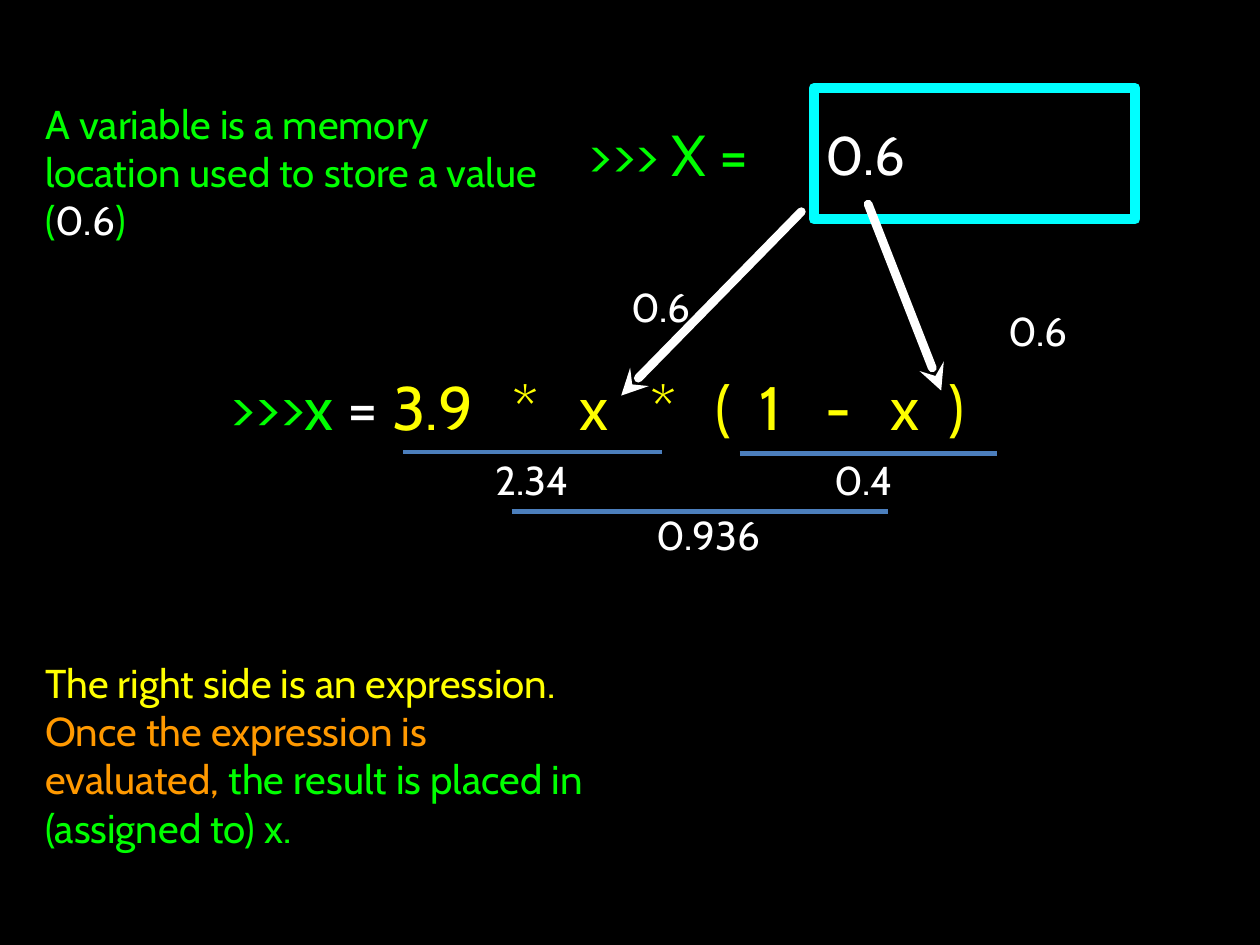
from typing import NamedTuple

from lxml.etree import SubElement
from pptx import Presentation
from pptx.dml.color import RGBColor
from pptx.enum.shapes import MSO_CONNECTOR, MSO_SHAPE
from pptx.enum.text import MSO_ANCHOR, PP_ALIGN
from pptx.oxml.ns import qn
from pptx.util import Inches, Pt

BLACK = RGBColor(0x00, 0x00, 0x00)
WHITE = RGBColor(0xFF, 0xFF, 0xFF)
GREEN = RGBColor(0x00, 0xFF, 0x00)
YELLOW = RGBColor(0xFF, 0xFF, 0x00)
ORANGE = RGBColor(0xFF, 0x99, 0x00)
CYAN = RGBColor(0x00, 0xFF, 0xFF)
BLUE = RGBColor(0x4B, 0x7E, 0xBC)
FONT = "Cabin"


class Box(NamedTuple):
    left: float
    top: float
    width: float
    height: float


class Arrow(NamedTuple):
    start: tuple[float, float]
    end: tuple[float, float]


class Step(NamedTuple):
    """A partial result and the rule above it."""
    value: str
    box: Box
    x1: float
    x2: float
    y: float


VALUE_LABELS = [Box(4.97, 2.18, 0.55, 0.51), Box(7.91, 2.37, 0.65, 0.51)]
ARROWS = [
    Arrow((6.36, 1.68), (4.93, 3.14)),
    Arrow((6.89, 1.62), (7.47, 3.1)),
]
STEPS = [
    Step("0.4", Box(6.53, 3.55, 0.65, 0.51), 5.87, 7.91, 3.6),
    Step("2.34", Box(3.9, 3.55, 0.65, 0.51), 3.2, 5.25, 3.59),
    Step("0.936", Box(5.16, 3.99, 0.93, 0.51), 4.06, 7.05, 4.06),
]
EXPRESSION = "3.9\t*\tx\t*\t(\t1\t-\tx\t)"
EXPRESSION_TABS = [2.24, 2.77, 3.33, 3.85, 4.2, 4.72, 5.24, 5.7]


def write(sp, *runs: tuple[str, RGBColor], size: float = 23, align=PP_ALIGN.LEFT,
          left: float = 0, right: float = 0, tabs=()) -> None:
    """Fill a shape with one paragraph; a run ending in a newline breaks the line."""
    tf = sp.text_frame
    tf.word_wrap = True
    tf.vertical_anchor = MSO_ANCHOR.MIDDLE
    tf.margin_left, tf.margin_right = Inches(left), Inches(right)
    tf.margin_top = tf.margin_bottom = 0
    p = tf.paragraphs[0]
    p.alignment = align
    if tabs:
        tab_list = SubElement(p._p.get_or_add_pPr(), qn("a:tabLst"))
        for pos in tabs:
            SubElement(tab_list, qn("a:tab"), pos=str(Inches(pos)), algn="l")
    for text, color in runs:
        r = p.add_run()
        r.text = text.rstrip("\n")
        r.font.name = FONT
        r.font.size = Pt(size)
        r.font.color.rgb = color
        if text.endswith("\n"):
            p.add_line_break()


def add_text(shapes, box: Box, *runs: tuple[str, RGBColor], **fmt) -> None:
    write(shapes.add_textbox(*map(Inches, box)), *runs, **fmt)


def add_line(shapes, start, end, color: RGBColor, width: float):
    line = shapes.add_connector(MSO_CONNECTOR.STRAIGHT, *map(Inches, (*start, *end)))
    line.line.color.rgb = color
    line.line.width = Pt(width)
    SubElement(line._element.spPr, qn("a:effectLst"))
    return line


def add_arrow(shapes, arrow: Arrow) -> None:
    line = add_line(shapes, arrow.start, arrow.end, WHITE, 5)
    ln = line.line._get_or_add_ln()
    ln.set("cap", "rnd")
    SubElement(ln, qn("a:round"))
    SubElement(ln, qn("a:tailEnd"), type="stealth")


def add_step(shapes, step: Step) -> None:
    group = shapes.add_group_shape().shapes
    add_line(group, (step.x1, step.y), (step.x2, step.y), BLUE, 2.5)
    add_text(group, step.box, (step.value, WHITE), align=PP_ALIGN.CENTER)


def add_memory_cell(shapes, box: Box) -> None:
    sp = shapes.add_shape(MSO_SHAPE.RECTANGLE, *map(Inches, box))
    sp.shadow.inherit = False
    sp.fill.background()
    sp.line.color.rgb = CYAN
    sp.line.width = Pt(6)
    SubElement(sp.line._get_or_add_ln(), qn("a:round"))
    write(sp, ("0.6", WHITE), size=31, left=0.09)


def main() -> None:
    prs = Presentation()
    prs.slide_width, prs.slide_height = Inches(10), Inches(7.5)
    s = prs.slides.add_slide(prs.slide_layouts[6])
    s.background.fill.solid()
    s.background.fill.fore_color.rgb = BLACK
    shapes = s.shapes

    add_text(shapes, Box(1.83, 2.85, 7.53, 0.75),
             (">>>x ", GREEN), ("= ", WHITE), (EXPRESSION, YELLOW),
             size=35, tabs=EXPRESSION_TABS)
    add_memory_cell(shapes, Box(6.46, 0.7, 2.55, 1.04))
    add_text(shapes, Box(4.4, 0.86, 1.91, 0.71), (">>> X =", GREEN),
             size=33, align=PP_ALIGN.CENTER, right=0.1)
    add_text(shapes, Box(0.36, 5.31, 4.35, 1.36),
             ("The right side is an expression.\n", YELLOW),
             ("Once the expression is evaluated, ", ORANGE),
             ("the result is placed in (assigned to) x.", GREEN))
    for box in VALUE_LABELS:
        add_text(shapes, box, ("0.6", WHITE), align=PP_ALIGN.CENTER)
    for arrow in ARROWS:
        add_arrow(shapes, arrow)
    add_text(shapes, Box(0.36, 0.89, 4.05, 0.94),
             ("A variable is a memory location used to store a value (", GREEN),
             ("0.6", WHITE), (")", GREEN))
    for step in STEPS:
        add_step(shapes, step)

    prs.save("out.pptx")


if __name__ == "__main__":
    main()
